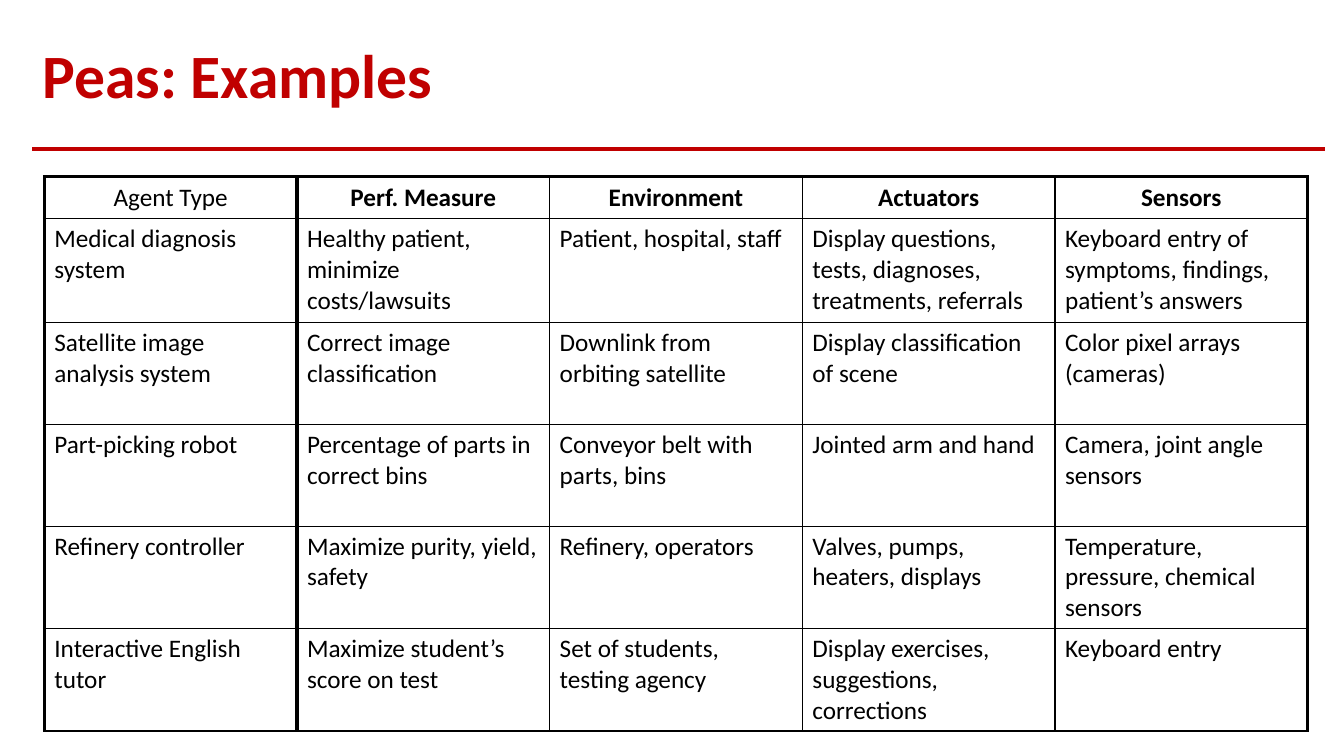
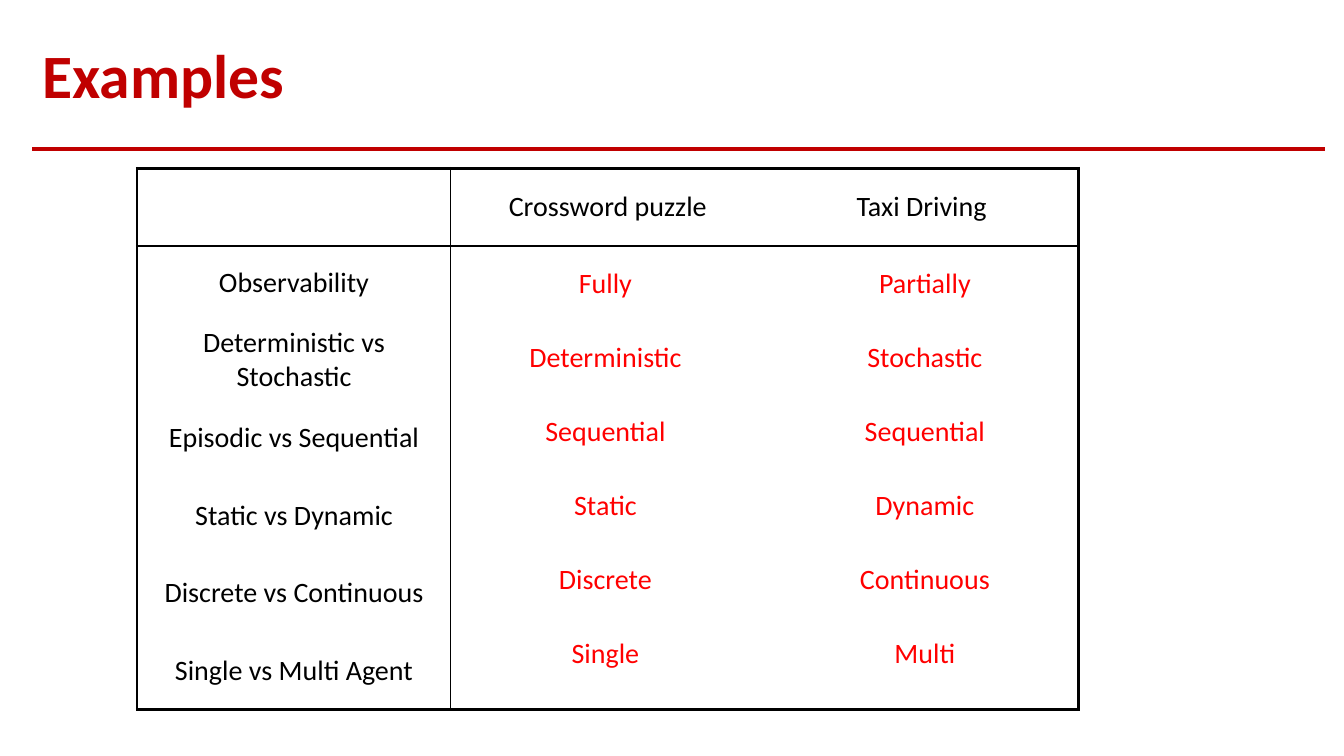
from lxml import etree
from pptx import Presentation, util as u
from pptx.dml.color import RGBColor
from pptx.enum import shapes, text
from pptx.oxml import ns

CRIMSON = RGBColor(0xC0, 0x00, 0x00)
RED = RGBColor(0xFF, 0x00, 0x00)
BLACK = RGBColor(0x00, 0x00, 0x00)
FONT = "Calibri"
WIDTH, HEIGHT = u.Inches(13.33), u.Inches(7.5)
MARGIN, HEADING_SPAN = 2.4, 96.15
THICK, THIN, DIVIDER = 2.25, 1, 3
TITLE_ONLY = 5

PEAS = [
    ["Agent Type", "Perf. Measure", "Environment", "Actuators", "Sensors"],
    ["Medical diagnosis system", "Healthy patient, minimize costs/lawsuits",
     "Patient, hospital, staff",
     "Display questions, tests, diagnoses, treatments, referrals",
     "Keyboard entry of symptoms, findings, patient’s answers"],
    ["Satellite image analysis system", "Correct image classification",
     "Downlink from orbiting satellite", "Display classification of scene",
     "Color pixel arrays (cameras)"],
    ["Part-picking robot", "Percentage of parts in correct bins",
     "Conveyor belt with parts, bins", "Jointed arm and hand",
     "Camera, joint angle sensors"],
    ["Refinery controller", "Maximize purity, yield, safety",
     "Refinery, operators", "Valves, pumps, heaters, displays",
     "Temperature, pressure, chemical sensors"],
    ["Interactive English tutor", "Maximize student’s score on test",
     "Set of students, testing agency",
     "Display exercises, suggestions, corrections", "Keyboard entry"],
]
TASKS = ["", "Crossword puzzle", "Taxi Driving"]
PROPERTIES = ["Observability", "Deterministic vs Stochastic",
              "Episodic vs Sequential", "Static vs Dynamic",
              "Discrete vs Continuous", "Single vs Multi Agent"]
CROSSWORD = ["Fully", "Deterministic", "Sequential", "Static", "Discrete", "Single"]
TAXI = ["Partially", "Stochastic", "Sequential", "Dynamic", "Continuous", "Multi"]


def across(percent):
    return u.Emu(round(WIDTH * percent / 100))


def down(percent):
    return u.Emu(round(HEIGHT * percent / 100))


def apply(target, values):
    for attribute, value in values.items():
        setattr(target, attribute, value)


def format_text(paragraph, size, color, bold=False,
                align=text.PP_ALIGN.LEFT, spacing=1.0):
    apply(paragraph, {"alignment": align, "line_spacing": spacing})
    for run in paragraph.runs:
        apply(run.font, {"name": FONT, "size": u.Pt(size), "bold": bold})
        run.font.color.rgb = color


def add_titled_slide(deck, heading):
    slide = deck.slides.add_slide(deck.slide_layouts[TITLE_ONLY])
    title = slide.shapes.title
    apply(title, {"left": across(MARGIN), "top": down(3.73),
                  "width": across(HEADING_SPAN), "height": down(13.33)})
    title.text_frame.text = heading
    title.text_frame.vertical_anchor = text.MSO_ANCHOR.MIDDLE
    format_text(title.text_frame.paragraphs[0], 44, CRIMSON, bold=True, spacing=0.9)
    return slide


def add_layout_rule(slide):
    level = down(19.73)
    rule = slide.shapes.add_connector(
        shapes.MSO_CONNECTOR.STRAIGHT, across(MARGIN), level,
        across(MARGIN + HEADING_SPAN), level)
    rule.line.color.rgb = CRIMSON
    rule.line.width = u.Pt(2.5)
    etree.SubElement(rule.element.spPr, ns.qn("a:effectLst"))
    shared = slide.slide_layout.shapes
    next_id = max(shape.shape_id for shape in shared) + 1
    rule.element.xpath("./p:nvCxnSpPr/p:cNvPr")[0].set("id", str(next_id))
    shared.element.append(rule.element)


def set_borders(cell, left, right, top, bottom):
    properties = cell._tc.get_or_add_tcPr()
    for side, points in zip("LRTB", (left, right, top, bottom)):
        border = etree.SubElement(properties, ns.qn(f"a:ln{side}"),
                                  w=str(u.Pt(points)))
        if points:
            fill = etree.SubElement(border, ns.qn("a:solidFill"))
            etree.SubElement(fill, ns.qn("a:srgbClr"), val=str(BLACK))
        else:
            etree.SubElement(border, ns.qn("a:noFill"))


def add_grid(slide, left, top, widths, heights, rows, uprights, levels):
    grid = slide.shapes.add_table(
        len(heights), len(widths), across(left), down(top),
        across(sum(widths)), down(sum(heights))).table
    apply(grid, {"first_row": False, "horz_banding": False})
    for column, width in zip(grid.columns, widths):
        column.width = across(width)
    for row, height in zip(grid.rows, heights):
        row.height = down(height)
    for r, entries in enumerate(rows):
        for c, entry in enumerate(entries):
            cell = grid.cell(r, c)
            cell.text = entry
            set_borders(cell, *uprights[c:c + 2], *levels[r:r + 2])
            cell.fill.background()
    return grid


def format_cells(cells, anchor=text.MSO_ANCHOR.MIDDLE,
                 align=text.PP_ALIGN.CENTER, **style):
    for cell in cells:
        cell.vertical_anchor = anchor
        format_text(cell.text_frame.paragraphs[0], align=align, **style)


def add_peas(slide):
    peas = add_grid(slide, 3.3, 23.33, [18.8] * 5, [5.6, 13.73] + [13.47] * 4, PEAS,
                    [THICK, DIVIDER, THIN, THIN, THIN, THICK],
                    [THICK] + [THIN] * 5 + [THICK])
    agent, *measures = peas.rows[0].cells
    format_cells([agent], size=18, color=BLACK)
    format_cells(measures, size=18, color=BLACK, bold=True)
    for row in list(peas.rows)[1:]:
        format_cells(row.cells, text.MSO_ANCHOR.TOP, text.PP_ALIGN.LEFT,
                     size=18, color=BLACK)


def add_environments(slide):
    rows = [TASKS] + [[name, "", ""] for name in PROPERTIES]
    frame = add_grid(slide, 10.2, 22.27, [23.35] * 3, [10.27, 9.87] + [10.27] * 5,
                     rows, [THICK, THIN, 0, THICK],
                     [THICK, THIN] + [0] * 5 + [THICK])
    format_cells(frame.iter_cells(), size=20, color=BLACK)
    for left, answers in ((62.25, TAXI), (38.48, CROSSWORD)):
        column = add_grid(slide, left, 32.67, [13.13], [9.78] * len(answers),
                          [[answer] for answer in answers],
                          [0, 0], [0] * (len(answers) + 1))
        format_cells(column.iter_cells(), size=20, color=RED)


def main():
    deck = Presentation()
    apply(deck, {"slide_width": WIDTH, "slide_height": HEIGHT})
    peas = add_titled_slide(deck, "Peas: Examples")
    add_layout_rule(peas)
    add_peas(peas)
    add_environments(add_titled_slide(deck, "Examples"))
    deck.save("out.pptx")


if __name__ == "__main__":
    main()
